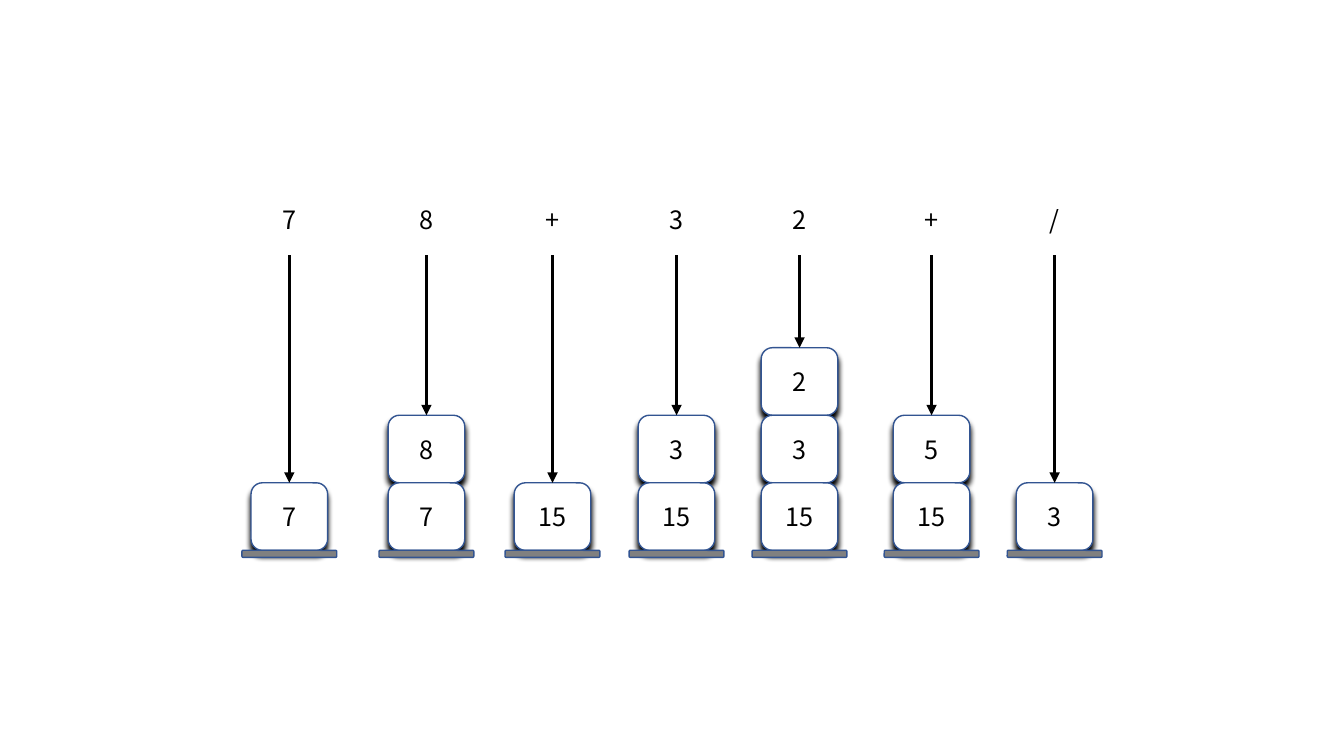
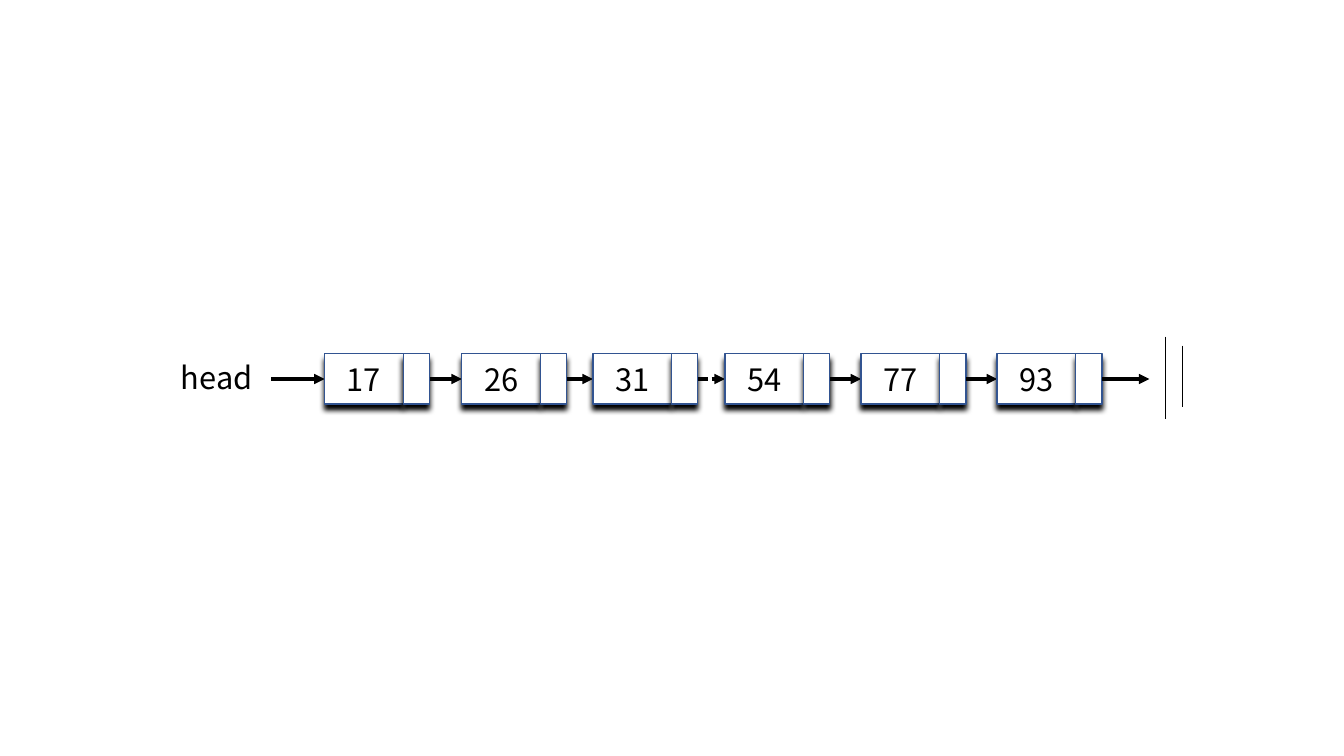
import dataclasses

import pptx
import pptx.dml.color
import pptx.enum.dml
import pptx.enum.shapes
import pptx.enum.text
import pptx.oxml
import pptx.oxml.ns
import pptx.util

FORM = pptx.enum.shapes.MSO_SHAPE
ANCHOR = pptx.enum.text.MSO_ANCHOR
DASH = pptx.enum.dml.MSO_LINE
RGB = pptx.dml.color.RGBColor.from_string
NS = pptx.oxml.ns.nsdecls("a")
SHADOW = (
    f'<a:outerShdw {NS} blurRad="50800" dist="50800" dir="5400000" algn="t" '
    'rotWithShape="0"><a:srgbClr val="000000"/></a:outerShdw>'
)


@dataclasses.dataclass(frozen=True)
class Theme:
    """Colours, font, type sizes and line widths in points."""

    ink: str = "000000"
    paper: str = "FFFFFF"
    edge: str = "325491"
    base: str = "808080"
    font: str = "Noto Sans CJK KR"
    small: int = 18
    large: int = 22
    thin: float = 0.5
    rim: float = 1
    thick: float = 2.5


class Deck:
    """Draws on the current slide, on a grid of ten columns and rows an inch."""

    def __init__(self, theme):
        self.theme = theme
        self.show = pptx.Presentation()
        self.show.slide_width = pptx.util.Inches(13.33)
        self.show.slide_height = pptx.util.Inches(7.5)
        self.slide = None

    def grid(self, *cells):
        """Turn grid cells into lengths."""
        return [pptx.util.Inches(cell / 10) for cell in cells]

    def page(self):
        """Start a blank slide."""
        self.slide = self.show.slides.add_slide(self.show.slide_layouts[6])

    def letter(self, frame, text, size, anchor):
        """Put one centred line in a text frame."""
        frame.word_wrap = True
        frame.vertical_anchor = anchor
        line = frame.paragraphs[0]
        line.text = text
        line.alignment = pptx.enum.text.PP_ALIGN.CENTER
        line.font.name = self.theme.font
        line.font.size = pptx.util.Pt(size)
        line.font.color.rgb = RGB(self.theme.ink)

    def label(self, text, col, row, wide, high, size):
        """Add free text."""
        box = self.slide.shapes.add_textbox(*self.grid(col, row, wide, high))
        self.letter(box.text_frame, text, size, ANCHOR.TOP)

    def shape(self, form, fill, col, row, wide, high):
        """Add a flat outlined shape."""
        item = self.slide.shapes.add_shape(form, *self.grid(col, row, wide, high))
        item.shadow.inherit = False
        item.fill.solid()
        item.fill.fore_color.rgb = RGB(fill)
        item.line.color.rgb = RGB(self.theme.edge)
        item.line.width = pptx.util.Pt(self.theme.rim)
        return item

    def card(self, form, text, col, row, wide, high, size):
        """Add a white box with a shadow and an optional value."""
        item = self.shape(form, self.theme.paper, col, row, wide, high)
        glow = item.element.spPr.find(pptx.oxml.ns.qn("a:effectLst"))
        glow.append(pptx.oxml.parse_xml(SHADOW))
        if text:
            self.letter(item.text_frame, text, size, ANCHOR.MIDDLE)

    def line(self, start, end, width):
        """Add a plain line between two grid points."""
        item = self.slide.shapes.add_connector(
            pptx.enum.shapes.MSO_CONNECTOR.STRAIGHT, *self.grid(*start, *end))
        item.line.color.rgb = RGB(self.theme.ink)
        item.line.width = pptx.util.Pt(width)
        item.element.spPr.append(pptx.oxml.parse_xml(f"<a:effectLst {NS}/>"))
        return item

    def arrow(self, start, end, dash=None):
        """Add a thick arrow between two grid points."""
        item = self.line(start, end, self.theme.thick)
        if dash:
            item.line.dash_style = dash
        item.get_or_add_ln().append(
            pptx.oxml.parse_xml(f'<a:tailEnd {NS} type="triangle"/>'))

    def stack(self, sign, mid, cards):
        """Draw an input sign, its arrow and the stack it leaves, top first."""
        floor, step, wide, plate = 54.6, 6.7, 7.6, 9.4
        top = floor - step * len(cards)
        size = self.theme.small
        for i, text in enumerate(cards):
            self.card(FORM.ROUNDED_RECTANGLE, text, mid - wide / 2,
                      top + i * step, wide, step, size)
        self.shape(FORM.ROUNDED_RECTANGLE, self.theme.base,
                   mid - plate / 2, floor, plate, 0.7)
        self.arrow((mid, 25.3), (mid, top))
        self.label(sign, mid - 2.25, 19.8, 4.5, 5.5, size)

    def chain(self, nodes, mid, start, end):
        """Draw linked nodes, with arrows from start, between them and to end."""
        wide, link, high = 7.8, 2.6, 5
        stops = [col for _, col, _ in nodes[1:]] + [end]
        self.arrow((start, mid), (nodes[0][1], mid))
        for (text, col, dash), stop in zip(nodes, stops):
            for word, left, span in ((text, col, wide), ("", col + wide, link)):
                self.card(FORM.RECTANGLE, word, left, mid - high / 2,
                          span, high, self.theme.large)
            self.arrow((col + wide + link, mid), (stop, mid), dash)


STACKS = [
    ("7", 28.7, ["7"]),
    ("8", 42.3, ["8", "7"]),
    ("+", 54.8, ["15"]),
    ("3", 67.1, ["3", "15"]),
    ("2", 79.3, ["2", "3", "15"]),
    ("+", 92.4, ["5", "15"]),
    ("/", 104.6, ["3"]),
]
NODES = [
    ("17", 32.2, None),
    ("26", 45.8, None),
    ("31", 58.8, DASH.SQUARE_DOT),
    ("54", 71.9, None),
    ("77", 85.4, None),
    ("93", 98.9, None),
]


def main():
    deck = Deck(Theme())
    deck.page()
    for sign, mid, cards in STACKS:
        deck.stack(sign, mid, cards)

    deck.page()
    for col, top, end in ((115.6, 33.4, 41.6), (117.3, 34.3, 40.4)):
        deck.line((col, top), (col, end), deck.theme.thin)
    deck.chain(NODES, 37.6, 26.9, 114)
    deck.label("head", 16, 35.1, 11, 4.7, deck.theme.large)
    deck.show.save("out.pptx")


if __name__ == "__main__":
    main()
